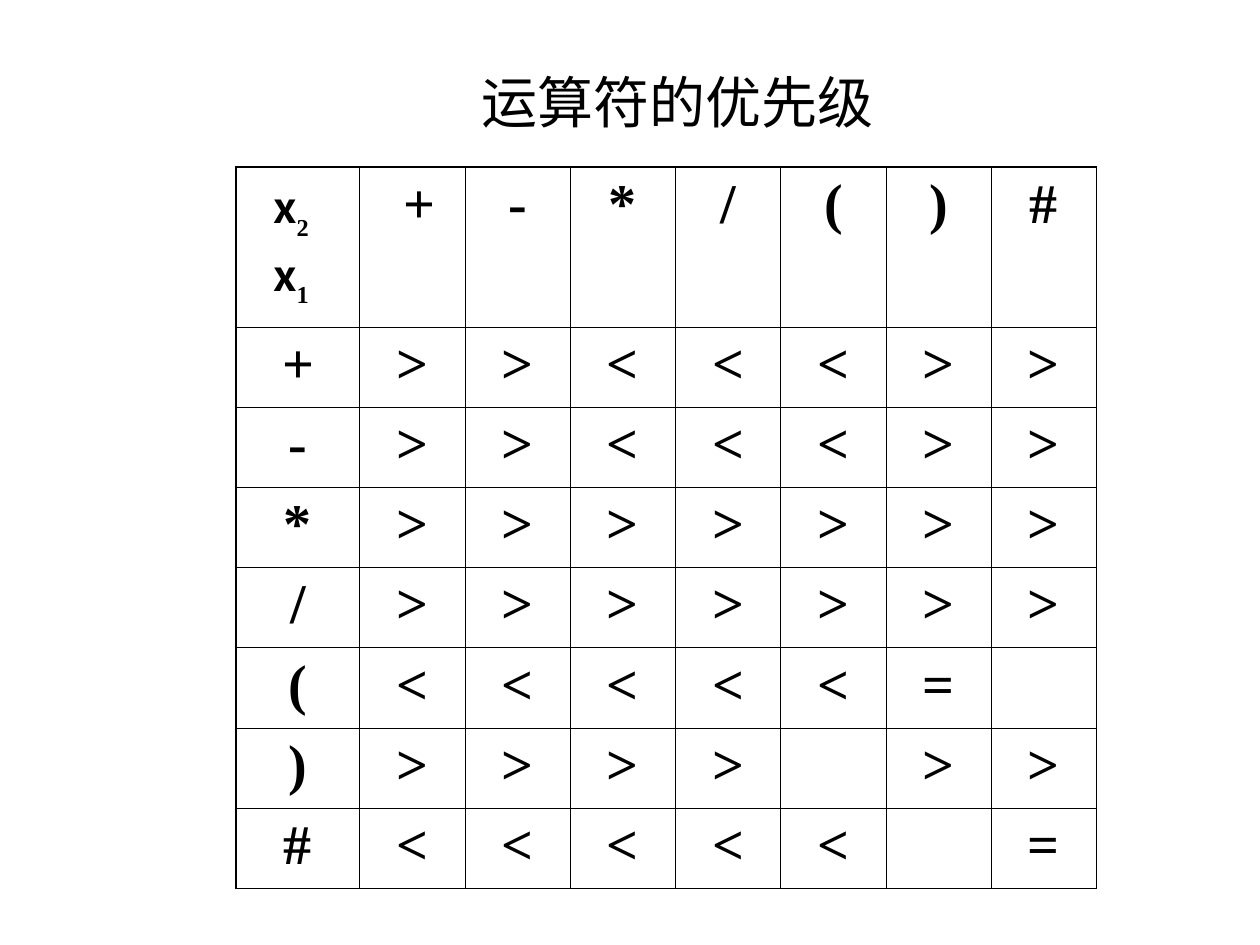
from lxml.etree import SubElement
from pptx import Presentation
from pptx.dml.color import RGBColor
from pptx.enum.text import MSO_ANCHOR as Anchor, PP_ALIGN as Align
from pptx.oxml.ns import qn
from pptx.util import Inches, Pt

BLACK = RGBColor(0x00, 0x00, 0x00)
THIN, THICK = 0.45, 1.08
OPERATORS = "+-*/()#"
PRECEDENCE = [">><<<>>", ">><<<>>", ">>>>>>>", ">>>>>>>", "<<<<<= ", ">>>> >>", "<<<<< ="]


class Deck:
    """Slide style and drawing methods, with lengths as percentages of the slide."""

    title_font, symbol_font, corner_font = "Calibri", "Times New Roman", "Noto Sans CJK SC"
    size, small = Pt(32), Pt(24)

    def __init__(self, prs):
        self.w, self.h = prs.slide_width / 100, prs.slide_height / 100
        self.s = prs.slides.add_slide(prs.slide_layouts[6])

    def box(self, x, y, w, h):
        return [int(v) for v in (x * self.w, y * self.h, w * self.w, h * self.h)]

    def style(self, font, name, size, bold):
        font.name, font.size, font.bold = name, size, bold
        font.color.rgb = BLACK

    def title(self, text, *area):
        tf = self.s.shapes.add_textbox(*self.box(*area)).text_frame
        tf.word_wrap, tf.vertical_anchor = True, Anchor.MIDDLE
        p = tf.paragraphs[0]
        p.text, p.alignment = text, Align.CENTER
        self.style(p.font, self.title_font, self.size, False)

    def table(self, rows, first_col, first_row, *area):
        x, y, w, h = self.box(*area)
        n_rows, n_cols = len(rows), len(rows[0])
        table = self.s.shapes.add_table(n_rows, n_cols, x, y, w, h).table
        table.first_row = table.horz_banding = False
        for lines, attr, total, first in ((table.columns, "width", w, first_col * self.w),
                                          (table.rows, "height", h, first_row * self.h)):
            for i, line in enumerate(lines):
                setattr(line, attr, int(first if i == 0 else (total - first) / (len(lines) - 1)))
        for i, row in enumerate(rows):
            for j, text in enumerate(row):
                cell = table.cell(i, j)
                self.borders(cell, L=j == 0, R=j == n_cols - 1 and row[0] != "*",
                             T=i == 0, B=i == n_rows - 1)
                cell.fill.background()
                if text.strip():
                    self.symbol(cell, text)
        return table

    def borders(self, cell, **thick):
        tc_pr = cell._tc.get_or_add_tcPr()
        for side, is_thick in thick.items():
            ln = SubElement(tc_pr, qn(f"a:ln{side}"), w=str(Pt(THICK if is_thick else THIN)))
            fill = SubElement(ln, qn("a:solidFill"))
            SubElement(fill, qn("a:srgbClr"), val=str(BLACK))

    def paragraph(self, cell):
        p = cell.text_frame.paragraphs[0]
        p.alignment, p.space_before = Align.CENTER, Pt(8)
        return p

    def symbol(self, cell, text):
        p = self.paragraph(cell)
        p.text = text
        self.style(p.font, self.symbol_font, self.size, True)

    def run(self, p, text, name, size, baseline=0):
        r = p.add_run()
        r.text = text
        self.style(r.font, name, size, True)
        r.font._element.set("baseline", str(baseline))

    def corner(self, cell, name, *subscripts):
        p = self.paragraph(cell)
        for i, subscript in enumerate(subscripts):
            if i:
                p.add_line_break()
            self.run(p, name, self.corner_font, self.small)
            self.run(p, subscript, self.symbol_font, self.small, -30000)
            self.run(p, " ", self.symbol_font, self.size)


def main():
    prs = Presentation()
    prs.slide_width, prs.slide_height = Inches(10), Inches(7.5)
    deck = Deck(prs)
    deck.title("运算符的优先级", 11.7, 5.6, 84.2, 10.13)
    header = ["", " +", *OPERATORS[1:]]
    rows = [header] + [[op, *line] for op, line in zip(OPERATORS, PRECEDENCE)]
    table = deck.table(rows, 9.8, 15.5, 18.75, 17.7, 68.3, 74.93)
    deck.corner(table.cell(0, 0), "x", "2", "1")
    prs.save("out.pptx")


if __name__ == "__main__":
    main()
